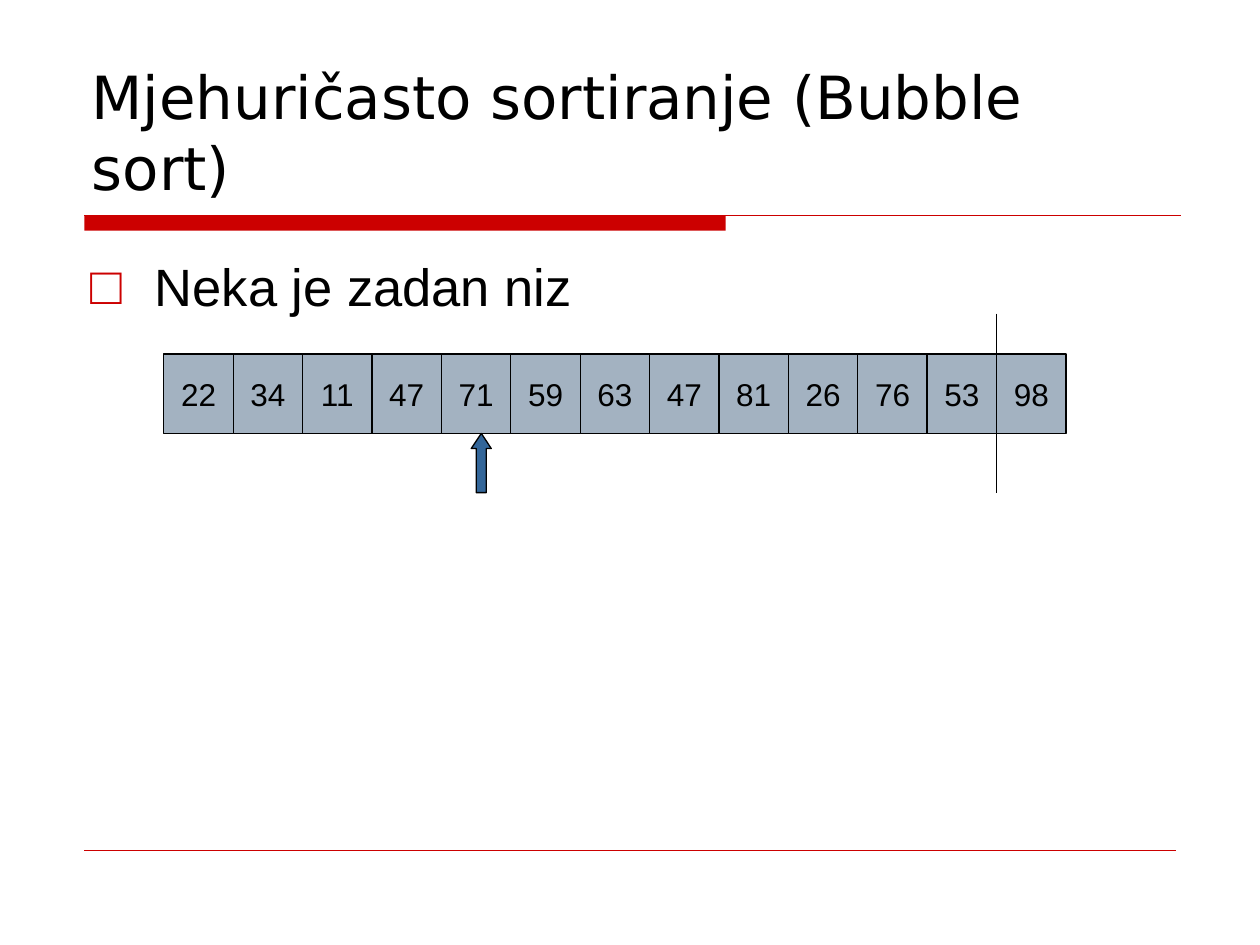
from lxml.etree import SubElement
from pptx import Presentation
from pptx.dml.color import RGBColor
from pptx.enum.shapes import MSO_CONNECTOR, MSO_SHAPE
from pptx.enum.text import MSO_ANCHOR, PP_ALIGN
from pptx.oxml.ns import qn
from pptx.util import Inches, Pt

BLACK = RGBColor(0x00, 0x00, 0x00)
RED = RGBColor(0xCC, 0x00, 0x00)
GREY_BLUE = RGBColor(0xA3, 0xB2, 0xC1)
BLUE = RGBColor(0x33, 0x66, 0x99)
NUMBERS = [22, 34, 11, 47, 71, 59, 63, 47, 81, 26, 76, 53, 98]


def style_text(para, text, size, font_name):
    """Fill a paragraph with black text."""
    para.text = text
    para.font.size = Pt(size)
    para.font.name = font_name
    para.font.color.rgb = BLACK


def add_line(page, start, end, color, width):
    """Draw a straight line between two points in inches."""
    line = page.shapes.add_connector(
        MSO_CONNECTOR.STRAIGHT, *(Inches(value) for value in start + end))
    line.line.color.rgb = color
    line.line.width = Pt(width)
    SubElement(line._element.spPr, qn("a:effectLst"))


def add_block(page, kind, box, fill):
    """Draw a filled preset shape with a thin black outline."""
    block = page.shapes.add_shape(kind, *(Inches(value) for value in box))
    block.shadow.inherit = False
    block.fill.solid()
    block.fill.fore_color.rgb = fill
    block.line.color.rgb = BLACK
    block.line.width = Pt(0.75)
    return block


def add_text_frame(page, box):
    """Add a wrapping text box and return its frame."""
    frame = page.shapes.add_textbox(*(Inches(value) for value in box)).text_frame
    frame.word_wrap = True
    return frame


def add_rules(page, left, top, bottom):
    """Draw the thick and thin rule below the title and the footer rule."""
    bar = page.shapes.add_shape(
        MSO_SHAPE.RECTANGLE, Inches(left), Inches(top), Inches(5.09), Inches(0.12))
    bar.shadow.inherit = False
    bar.fill.solid()
    bar.fill.fore_color.rgb = RED
    bar.line.fill.background()
    add_line(page, (left, top), (left + 8.7, top), RED, 0.75)
    add_line(page, (left, bottom), (left + 8.66, bottom), RED, 0.25)


def add_title(page, box):
    """Place the title at the bottom of its box."""
    frame = add_text_frame(page, box)
    frame.vertical_anchor = MSO_ANCHOR.BOTTOM
    style_text(frame.paragraphs[0], "Mjehuričasto sortiranje (Bubble sort)", 34, "DejaVu Sans")


def add_body(page, box):
    """Place the statement with its red square bullet."""
    frame = add_text_frame(page, box)
    frame.margin_top = Inches(0.1)
    para = frame.paragraphs[0]
    properties = para._p.get_or_add_pPr()
    properties.set("marL", str(Inches(0.51)))
    properties.set("indent", str(-Inches(0.51)))
    bullet_color = SubElement(properties, qn("a:buClr"))
    SubElement(bullet_color, qn("a:srgbClr"), val=str(RED))
    SubElement(properties, qn("a:buFont"), typeface="Arial")
    SubElement(properties, qn("a:buChar"), char="□")
    style_text(para, "Neka je zadan niz", 30, "Arial")


def add_array(page, box):
    """Draw the number cells, the pointer arrow and the sorted-part divider."""
    left, top, width, height = box
    cell_width = width / len(NUMBERS)
    bottom = top + height
    for index, number in enumerate(NUMBERS):
        cell = add_block(page, MSO_SHAPE.RECTANGLE,
                         (left + index * cell_width, top, cell_width, height), GREY_BLUE)
        frame = cell.text_frame
        frame.word_wrap = False
        frame.vertical_anchor = MSO_ANCHOR.MIDDLE
        para = frame.paragraphs[0]
        para.alignment = PP_ALIGN.CENTER
        style_text(para, str(number), 18, "Arial")
    arrow = add_block(page, MSO_SHAPE.UP_ARROW, (left + 2.44, bottom, 0.16, 0.47), BLUE)
    arrow.adjustments[0] = 0.5
    arrow.adjustments[1] = 0.755
    divider = left + width - cell_width
    add_line(page, (divider, top - 0.32), (divider, bottom + 0.47), BLACK, 0.75)


def main():
    """Build the bubble sort slide."""
    deck = Presentation()
    deck.slide_width = Inches(10)
    deck.slide_height = Inches(7.5)
    page = deck.slides.add_slide(deck.slide_layouts[6])
    add_rules(page, 0.67, 1.71, 6.75)
    add_title(page, (0.63, 0.33, 8.75, 1.33))
    add_body(page, (0.62, 1.92, 8.75, 4.67))
    add_array(page, (1.3, 2.81, 7.16, 0.63))
    deck.save("out.pptx")


if __name__ == "__main__":
    main()
